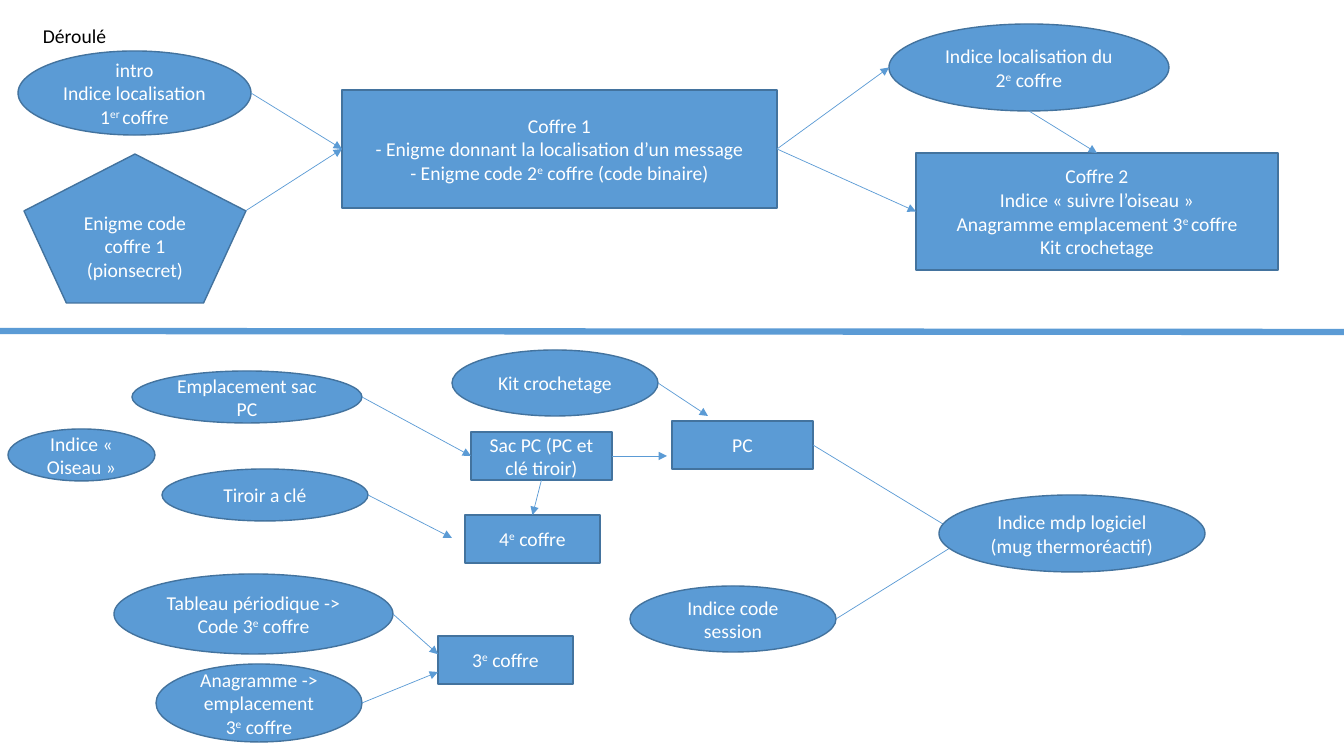
import dataclasses

import pptx
import pptx.dml.color
import pptx.enum.shapes
import pptx.enum.text
import pptx.oxml.ns
import pptx.util
from lxml import etree

SHAPE = pptx.enum.shapes.MSO_SHAPE
RECT, OVAL, PENTAGON = SHAPE.RECTANGLE, SHAPE.OVAL, SHAPE.REGULAR_PENTAGON
PX = 914400 / 100.8


@dataclasses.dataclass(frozen=True)
class Theme:
    fill: str = "5B9BD5"
    outline: str = "43739E"
    dark: str = "000000"
    light: str = "FFFFFF"
    font: str = "Calibri"
    size: int = 14
    outline_width: float = 1
    arrow_width: float = 0.5
    divider_width: float = 4.5


def px(*lengths):
    return [pptx.util.Emu(round(n * PX)) for n in lengths]


def rgb(code):
    return pptx.dml.color.RGBColor.from_string(code)


def write(tf, text, *, font, size, color, align=None):
    """Fill a frame, one paragraph a line; ^...^ marks superscript."""
    tf.word_wrap = True
    for i, line in enumerate(text.split("\n")):
        p = tf.add_paragraph() if i else tf.paragraphs[0]
        p.alignment = align
        for j, part in enumerate(line.split("^")):
            if not part:
                continue
            r = p.add_run()
            r.text = part
            r.font.name = font
            r.font.size = pptx.util.Pt(size)
            r.font.color.rgb = rgb(color)
            if j % 2:
                r.font._element.set("baseline", "30000")


def at(sp, fx, fy):
    """Point in px at the given fractions of a shape's width and height."""
    return ((sp.left + fx * sp.width) / PX, (sp.top + fy * sp.height) / PX)


def left(sp, fy=0.5):
    return at(sp, 0, fy)


def right(sp, fy=0.5):
    return at(sp, 1, fy)


def top(sp):
    return at(sp, 0.5, 0)


def bottom(sp):
    return at(sp, 0.5, 1)


class Flowchart:
    def __init__(self, slide, theme):
        self.s = slide
        self.theme = theme

    def label(self, x, y, w, h, text):
        t = self.theme
        sp = self.s.shapes.add_textbox(*px(x, y, w, h))
        write(sp.text_frame, text, font=t.font, size=t.size, color=t.dark)

    def node(self, kind, x, y, w, h, text):
        t = self.theme
        sp = self.s.shapes.add_shape(kind, *px(x, y, w, h))
        sp.shadow.inherit = False
        sp.fill.solid()
        sp.fill.fore_color.rgb = rgb(t.fill)
        sp.line.color.rgb = rgb(t.outline)
        sp.line.width = pptx.util.Pt(t.outline_width)
        sp.text_frame.vertical_anchor = pptx.enum.text.MSO_ANCHOR.MIDDLE
        write(sp.text_frame, text, font=t.font, size=t.size, color=t.light,
              align=pptx.enum.text.PP_ALIGN.CENTER)
        return sp

    def line(self, start, end, width):
        straight = pptx.enum.shapes.MSO_CONNECTOR.STRAIGHT
        sp = self.s.shapes.add_connector(straight, *px(*start, *end))
        sp.line.color.rgb = rgb(self.theme.fill)
        sp.line.width = pptx.util.Pt(width)
        etree.SubElement(sp._element.spPr, pptx.oxml.ns.qn("a:effectLst"))
        return sp

    def arrow(self, start, end):
        sp = self.line(start, end, self.theme.arrow_width)
        etree.SubElement(sp.line._get_or_add_ln(), pptx.oxml.ns.qn("a:tailEnd"),
                         type="triangle")


def draw_first_chests(chart):
    chart.label(33, 19, 110, 34, "Déroulé")
    chest1 = chart.node(RECT, 342, 90, 435, 118,
                        "Coffre 1\n- Enigme donnant la localisation d’un message\n"
                        "- Enigme code 2^e^ coffre (code binaire)")
    intro = chart.node(OVAL, 18, 51, 233, 84, "intro\nIndice localisation 1^er ^coffre")
    code_puzzle = chart.node(PENTAGON, 24, 154, 222, 149,
                             "Enigme code coffre 1 (pionsecret)")
    clue2 = chart.node(OVAL, 889, 24, 280, 87, "Indice localisation du 2^e^ coffre")
    chest2 = chart.node(RECT, 916, 153, 362, 117,
                        "Coffre 2\nIndice « suivre l’oiseau »\n"
                        "Anagramme emplacement 3^e ^coffre\nKit crochetage")
    for start, end in [
        (right(intro), left(chest1)),
        (right(code_puzzle, 0.38), left(chest1)),
        (right(chest1), left(clue2)),
        (right(chest1), left(chest2)),
        (bottom(clue2), top(chest2)),
    ]:
        chart.arrow(start, end)


def draw_bird_trail(chart):
    chart.node(OVAL, 8, 429, 147, 52, "Indice « Oiseau »")
    bag = chart.node(RECT, 471, 432, 141, 48, "Sac PC (PC et clé tiroir)")
    chest3 = chart.node(RECT, 438, 636, 135, 48, "3^e^ coffre")
    chest4 = chart.node(RECT, 465, 515, 135, 48, "4^e^ coffre")
    anagram = chart.node(OVAL, 156, 664, 206, 78, "Anagramme -> emplacement 3^e^ coffre")
    drawer = chart.node(OVAL, 162, 469, 206, 52, "Tiroir a clé")
    bag_place = chart.node(OVAL, 132, 371, 230, 52, "Emplacement sac PC")
    periodic = chart.node(OVAL, 114, 574, 279, 80, "Tableau périodique -> Code 3^e^ coffre")
    session = chart.node(OVAL, 630, 586, 206, 66, "Indice code session")
    lockpick = chart.node(OVAL, 452, 350, 206, 66, "Kit crochetage")
    computer = chart.node(RECT, 672, 421, 141, 48, "PC")
    password_point = (966, 538)
    for start, end in [
        (right(drawer), (452, 538)),
        (right(bag_place), left(bag)),
        (right(periodic), left(chest3, 0.38)),
        (right(anagram), left(chest3, 0.75)),
        (right(bag), (667, 456)),
        (right(lockpick), (708, 416)),
        (right(session), password_point),
        (right(computer), password_point),
        (bottom(bag), top(chest4)),
    ]:
        chart.arrow(start, end)
    chart.node(OVAL, 939, 495, 266, 77, "Indice mdp logiciel (mug thermoréactif)")


def main():
    prs = pptx.Presentation()
    prs.slide_width, prs.slide_height = px(1344, 756)
    theme = Theme()
    chart = Flowchart(prs.slides.add_slide(prs.slide_layouts[6]), theme)
    draw_first_chests(chart)
    chart.line((0, 331), (1344, 332), theme.divider_width)
    draw_bird_trail(chart)
    prs.save("out.pptx")


if __name__ == "__main__":
    main()
